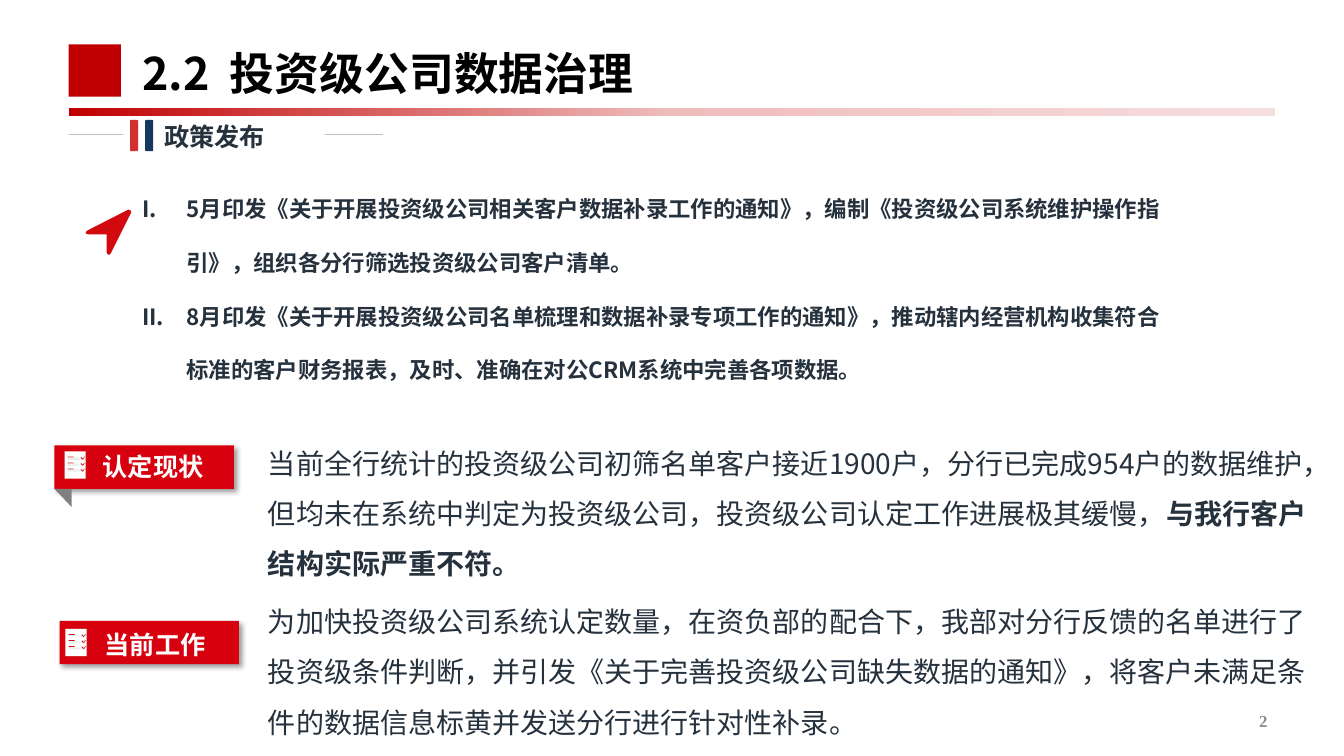
from collections import namedtuple
from copy import deepcopy

from lxml.etree import SubElement
from pptx import Presentation
from pptx.dml.color import RGBColor
from pptx.enum.shapes import MSO_CONNECTOR as Connector, MSO_SHAPE as Shape
from pptx.enum.text import MSO_ANCHOR as Anchor, MSO_AUTO_SIZE as AutoSize, PP_ALIGN as Align
from pptx.oxml.ns import qn
from pptx.util import Inches, Pt

RED, TICK_RED, LABEL_RED = RGBColor(192, 0, 0), RGBColor(210, 10, 16), RGBColor(215, 0, 15)
BAR_RED, BAR_NAVY = RGBColor(211, 47, 47), RGBColor(23, 55, 94)
PINK, PALE_PINK = RGBColor(239, 188, 188), RGBColor(247, 222, 222)
INK, BLACK, WHITE = RGBColor(37, 49, 61), RGBColor(0, 0, 0), RGBColor(255, 255, 255)
RULE_GREY, FOLD_GREY = RGBColor(191, 191, 191), RGBColor(128, 128, 128)
NUMBER_GREY, ICON_GREY = RGBColor(140, 140, 140), RGBColor(209, 219, 219)
CJK = "Noto Sans CJK SC"

Box = namedtuple("Box", "x y w h")
PAGE = Box(0, 0, Inches(13.33), Inches(7.5))

POLICIES = [
    "5月印发《关于开展投资级公司相关客户数据补录工作的通知》，编制《投资级公司系统维护操作指引》，组织各分行筛选投资级公司客户清单。",
    "8月印发《关于开展投资级公司名单梳理和数据补录专项工作的通知》，推动辖内经营机构收集符合标准的客户财务报表，及时、准确在对公CRM系统中完善各项数据。",
]
STATUS = "当前全行统计的投资级公司初筛名单客户接近1900户，分行已完成954户的数据维护，但均未在系统中判定为投资级公司，投资级公司认定工作进展极其缓慢，"
STATUS_STRESS = "与我行客户结构实际严重不符。"
WORK = "为加快投资级公司系统认定数量，在资负部的配合下，我部对分行反馈的名单进行了投资级条件判断，并引发《关于完善投资级公司缺失数据的通知》，将客户未满足条件的数据信息标黄并发送分行进行针对性补录。"


def part(box, x, y, w, h):
    """Return the part of a box given in percent of its size."""
    return Box(*(round(v) for v in (box.x + box.w * x / 100, box.y + box.h * y / 100,
                                    box.w * w / 100, box.h * h / 100)))


def paint(shape, color):
    """Give a shape a flat fill without line or shadow."""
    shape.fill.solid()
    shape.fill.fore_color.rgb = color
    shape.line.fill.background()
    shape.shadow.inherit = False
    return shape


def block(shapes, kind, box, color):
    """Add a flat preset shape."""
    return paint(shapes.add_shape(kind, *box), color)


def outline(shapes, box, points, color):
    """Add a flat polygon whose points are percents of the box."""
    corners = [part(box, x, y, 0, 0)[:2] for x, y in points]
    pen = shapes.build_freeform(*corners[0], scale=1.0)
    pen.add_line_segments(corners[1:], close=True)
    return paint(pen.convert_to_shape(), color)


def style(paragraph, size, color, bold=False, name=CJK):
    """Set the font of a paragraph, with its East Asian face."""
    font = paragraph.font
    font.size, font.bold, font.name = Pt(size), bold, name
    font.color.rgb = color
    SubElement(paragraph._p.pPr.find(qn("a:defRPr")), qn("a:ea"), typeface=CJK)


def text(slide, box, words, size, color, bold=False, name=CJK):
    """Add a wrapping one-paragraph text box and return its frame."""
    frame = slide.shapes.add_textbox(*box).text_frame
    frame.word_wrap = True
    frame.text = words
    style(frame.paragraphs[0], size, color, bold, name)
    return frame


def fit(placeholder, box):
    """Move a placeholder to a box and keep its text unscaled."""
    placeholder.left, placeholder.top, placeholder.width, placeholder.height = box
    placeholder.text_frame.auto_size = AutoSize.NONE
    return placeholder.text_frame


def header(slide, box):
    """Place the title, its red square and the fading rule."""
    block(slide.shapes, Shape.RECTANGLE, part(box, 0, 12.35, 4.34, 64.2), RED)
    rule = block(slide.shapes, Shape.RECTANGLE, part(box, 0, 90.1, 100, 9.9), RED)
    rule.fill.gradient()
    rule.fill.gradient_angle = 0
    start, end = rule.fill.gradient_stops
    start.color.rgb, start.position = PINK, 0.5
    end.color.rgb, end.position = PALE_PINK, 1
    stops = rule.element.spPr.find(".//" + qn("a:gsLst"))
    stops.insert(0, deepcopy(stops[0]))
    first = rule.fill.gradient_stops[0]
    first.color.rgb, first.position = RED, 0
    frame = fit(slide.shapes.title, part(box, 5.26, 0, 63.9, 95.1))
    frame.vertical_anchor = Anchor.MIDDLE
    frame.text = "2.2  投资级公司数据治理"
    frame.paragraphs[0].alignment = Align.LEFT
    style(frame.paragraphs[0], 32, BLACK, True)


def section_heading(slide, box):
    """Place the heading between two thin lines, with two bars."""
    for x, width in ((0, 17.3), (81.7, 18.3)):
        line = part(box, x, 45, width, 0)
        dash = slide.shapes.add_connector(Connector.STRAIGHT, line.x, line.y, line.x + line.w, line.y)
        dash.line.color.rgb, dash.line.width = RULE_GREY, Pt(0.5)
        SubElement(dash.element.spPr, qn("a:effectLst"))
    for x, color in ((19.55, BAR_RED), (24.36, BAR_NAVY)):
        bar = block(slide.shapes, Shape.ROUNDED_RECTANGLE, part(box, x, 10, 2.56, 77.5), color)
        bar.adjustments[0] = 0.15
    text(slide, part(box, 27.24, 0, 69.2, 100), "政策发布", 18, INK, True)


def policies(slide, box):
    """Place the arrow and the numbered list of policies."""
    dart = [(94, 0), (99, 2), (100, 7), (55, 97), (51, 100), (47, 97), (46, 94),
            (46, 55), (6, 55), (1, 53), (0, 50), (4, 46)]
    outline(slide.shapes, part(box, 0, 20.4, 4.16, 20), dart, TICK_RED)
    frame = fit(slide.placeholders[1], part(box, 4.25, 0, 95.75, 100))
    frame.text = "\n".join(POLICIES)
    for policy in frame.paragraphs:
        policy.line_spacing, policy.space_before = 2.0, Pt(0)
        layout = policy._p.get_or_add_pPr()
        layout.set("marL", str(Inches(0.44)))
        layout.set("indent", str(-Inches(0.44)))
        SubElement(layout, qn("a:buFont"), typeface="+mj-lt")
        SubElement(layout, qn("a:buAutoNum"), type="romanUcPeriod")
        style(policy, 16, INK, True)


def checklist(slide, box):
    """Draw a small sheet with three ticked entries."""
    shapes = slide.shapes.add_group_shape().shapes
    block(shapes, Shape.RECTANGLE, part(box, 0, 0, 100, 100), TICK_RED)
    block(shapes, Shape.RECTANGLE, part(box, 4, 3, 88, 93), WHITE)
    tick = [(0, 40), (50, 100), (100, 0), (92, 0), (50, 70), (20, 20)]
    for entry in range(3):
        row = part(box, 16.7, 20.7 + 20.6 * entry, 72, 10.3)
        block(shapes, Shape.FRAME, part(row, 75, 0, 17, 100), ICON_GREY)
        block(shapes, Shape.RECTANGLE, part(row, 0, 0, 35, 25), TICK_RED)
        for line in range(1, 4):
            block(shapes, Shape.RECTANGLE, part(row, 0, 32 * line, 69, 10), ICON_GREY)
        outline(shapes, part(row, 75, 0, 25, 100), tick, TICK_RED)


def topic(slide, label, icon, caption, body, name, words, stress="", fold=False):
    """Place a shadowed label with its icon, and the paragraph beside it."""
    banner = block(slide.shapes, Shape.RECTANGLE, label, LABEL_RED)
    shadow = SubElement(banner.element.spPr.find(qn("a:effectLst")), qn("a:outerShdw"),
                        blurRad=str(Pt(4)), dist=str(Pt(3)), dir="2700000",
                        algn="tl", rotWithShape="0")
    tone = SubElement(shadow, qn("a:srgbClr"), val=str(BLACK))
    SubElement(tone, qn("a:alpha"), val="40000")
    if fold:
        corner = block(slide.shapes, Shape.RIGHT_TRIANGLE, part(label, 0, 100, 9.55, 41.86), FOLD_GREY)
        corner.rotation = 180
    checklist(slide, icon)
    text(slide, caption, name, 18, WHITE, True, "Arial")
    paragraph = text(slide, body, words, 20, INK).paragraphs[0]
    paragraph.line_spacing, paragraph.space_after = 1.5, Pt(3)
    if stress:
        run = paragraph.add_run()
        run.text, run.font.bold = stress, True


def page_number(slide, box):
    """Place the page number at the right."""
    frame = text(slide, box, "2", 12, NUMBER_GREY, True, "Times New Roman")
    frame.vertical_anchor = Anchor.MIDDLE
    frame.paragraphs[0].alignment = Align.RIGHT


def main():
    """Build the slide and save it."""
    deck = Presentation()
    deck.slide_width, deck.slide_height = PAGE.w, PAGE.h
    slide = deck.slides.add_slide(deck.slide_layouts[1])
    header(slide, part(PAGE, 5.1, 4.53, 89.8, 10.8))
    section_heading(slide, part(PAGE, 5.1, 15.33, 23.4, 5.33))
    policies(slide, part(PAGE, 6.38, 21.6, 81.17, 30))
    topic(slide, part(PAGE, 4.05, 58.93, 13.35, 5.73), part(PAGE, 4.73, 59.6, 1.8, 3.87),
          part(PAGE, 6.9, 59.07, 10.88, 5.33), part(PAGE, 19.2, 56.13, 80.42, 26.27),
          "认定现状", STATUS, STATUS_STRESS, fold=True)
    topic(slide, part(PAGE, 4.43, 82.13, 13.35, 5.73), part(PAGE, 4.8, 83.07, 1.8, 3.87),
          part(PAGE, 7.05, 82.53, 10.88, 5.33), part(PAGE, 19.2, 77.07, 80.42, 26.27),
          "当前工作", WORK)
    page_number(slide, part(PAGE, 71.72, 92.67, 23.33, 5.33))
    deck.save("out.pptx")


if __name__ == "__main__":
    main()
